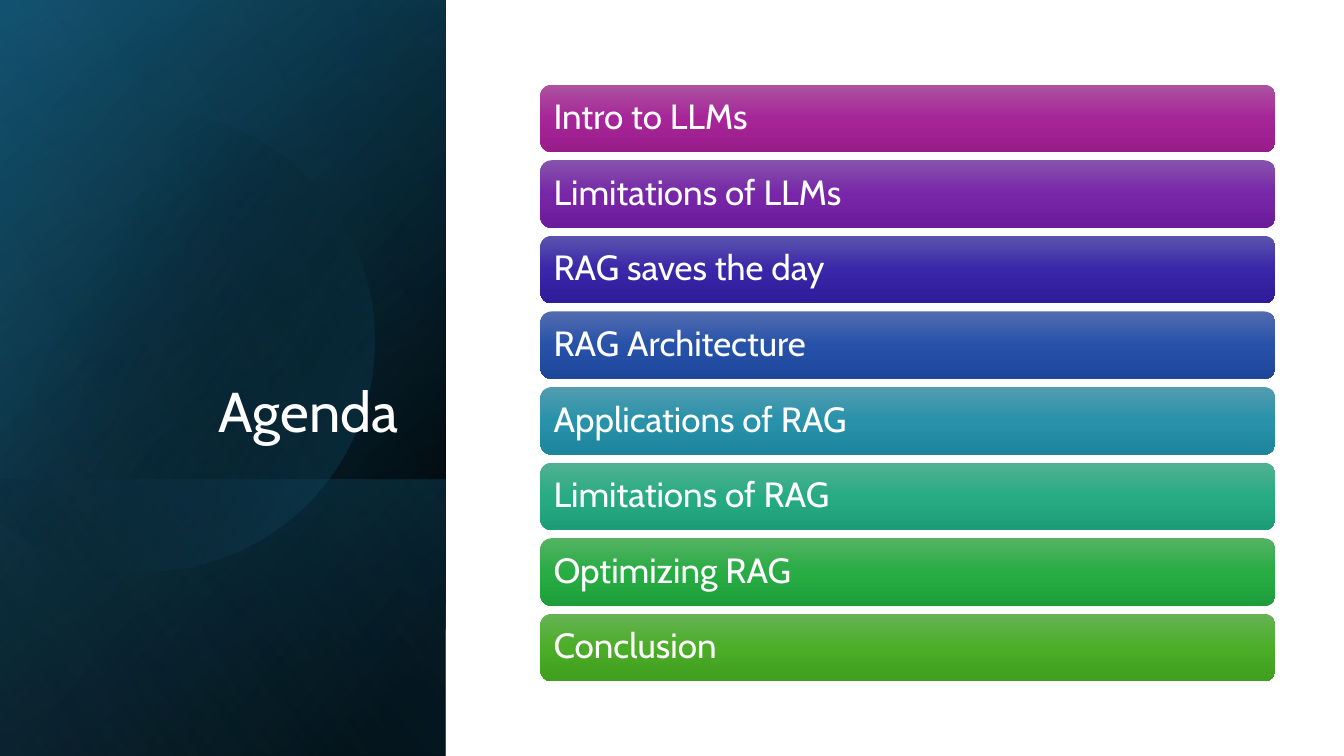
import math

from lxml import etree
from pptx import Presentation
from pptx import util as u
from pptx.dml.color import RGBColor
from pptx.enum import shapes, text
from pptx.oxml import ns

FONT = "Cabin"
WHITE = RGBColor(0xFF, 0xFF, 0xFF)
BLACK = RGBColor(0x00, 0x00, 0x00)
TEAL = RGBColor(0x15, 0x60, 0x82)
DEEP_TEAL = RGBColor(0x10, 0x48, 0x62)
SKY = RGBColor(0x46, 0xB1, 0xE1)

# Topic with the top, middle and bottom colour of its bar
AGENDA = [
    ("Intro to LLMs", "AC53A0", "A62598", "991C8B"),
    ("Limitations of LLMs", "8653AD", "7726A7", "6B1C9A"),
    ("RAG saves the day", "5C53AE", "3926A8", "2F1C9A"),
    ("RAG Architecture", "536BAF", "2652A9", "1D479B"),
    ("Applications of RAG", "539CB0", "2792AA", "1D859C"),
    ("Limitations of RAG", "53B190", "27AB83", "1D9D77"),
    ("Optimizing RAG", "54B262", "28AC44", "1E9E3A"),
    ("Conclusion", "66B354", "4BAD28", "409F1E"),
]


def paint_gradient(shape, stops, angle):
    """Fill with (position %, colour, opacity %) stops; no line or shadow."""
    shape.shadow.inherit = False
    shape.line.fill.background()
    shape.fill.background()
    gradient = etree.Element(ns.qn("a:gradFill"), rotWithShape="1")
    stop_list = etree.SubElement(gradient, ns.qn("a:gsLst"))
    for position, color, opacity in stops:
        stop = etree.SubElement(stop_list, ns.qn("a:gs"), pos=str(position * 1000))
        value = etree.SubElement(stop, ns.qn("a:srgbClr"), val=str(color))
        if opacity < 100:
            etree.SubElement(value, ns.qn("a:alpha"), val=str(opacity * 1000))
    etree.SubElement(gradient, ns.qn("a:lin"), ang=str(angle * 60000), scaled="0")
    properties = shape.fill._xPr
    properties.replace(properties.find(ns.qn("a:noFill")), gradient)


def write_text(box, content, size, align, anchor, margins):
    frame = box.text_frame
    frame.word_wrap = True
    frame.vertical_anchor = anchor
    frame.margin_left = frame.margin_right = u.Inches(margins[0])
    frame.margin_top = frame.margin_bottom = u.Inches(margins[1])
    para = frame.paragraphs[0]
    para.alignment = align
    para.line_spacing = 0.9
    span = para.add_run()
    span.text = content
    span.font.name = FONT
    span.font.size = u.Pt(size)
    span.font.color.rgb = WHITE


def add_turned_panel(page, left, top, width, height, stops, angle):
    """Cover the given box with a mirrored rectangle turned a quarter."""
    shift = (width - height) / 2
    panel = page.shapes.add_shape(
        shapes.MSO_SHAPE.RECTANGLE, u.Inches(left + shift), u.Inches(top - shift),
        u.Inches(height), u.Inches(width))
    panel.rotation = 90
    paint_gradient(panel, stops, angle)
    panel._element.spPr.find(ns.qn("a:xfrm")).set("flipH", "1")


def add_disc(page, center_x, center_y, radius, stops, angle):
    """Draw a circle cut off at the left edge of the slide."""
    reach = math.acos(-center_x / radius)
    steps = 120
    points = []
    for step in range(steps + 1):
        turn = reach * (2 * step / steps - 1)
        points.append((u.Inches(center_x + radius * math.cos(turn)),
                       u.Inches(center_y + radius * math.sin(turn))))
    builder = page.shapes.build_freeform(*points[0])
    builder.add_line_segments(points[1:], close=True)
    paint_gradient(builder.convert_to_shape(), stops, angle)


def add_title_panel(page, left, top, width, height):
    # Layered background
    whole = (left, top, width, height)
    add_turned_panel(page, *whole, [(8, BLACK, 100), (100, DEEP_TEAL, 100)], 50)
    add_turned_panel(page, *whole, [(0, BLACK, 0), (99, TEAL, 46)], 30)
    foot = 2.74
    add_turned_panel(page, left, top + height - foot, width, foot,
                     [(2, TEAL, 29), (100, BLACK, 30)], 130)
    add_disc(page, left + 1.42, top + 3.38, 2.29, [(29, BLACK, 0), (100, TEAL, 43)], 30)
    add_turned_panel(page, *whole, [(0, BLACK, 0), (99, SKY, 11)], 120)

    # Title
    box = page.shapes.add_textbox(u.Inches(left + 0.64), u.Inches(top + 1.84),
                                  u.Inches(3.41), u.Inches(2.62))
    write_text(box, "Agenda", 40, text.PP_ALIGN.RIGHT, text.MSO_ANCHOR.BOTTOM, (0.1, 0.05))


def add_agenda(page, left, top, width, bar_height, pitch):
    for row, (topic, *colors) in enumerate(AGENDA):
        bar = page.shapes.add_shape(
            shapes.MSO_SHAPE.ROUNDED_RECTANGLE, u.Inches(left), u.Inches(top + row * pitch),
            u.Inches(width), u.Inches(bar_height))
        stops = [(position, RGBColor.from_string(color), 100)
                 for position, color in zip((0, 50, 100), colors)]
        paint_gradient(bar, stops, 90)
        write_text(bar, topic, 25, text.PP_ALIGN.LEFT, text.MSO_ANCHOR.MIDDLE, (0.1, 0.1))


def main():
    deck = Presentation()
    deck.slide_width, deck.slide_height = u.Inches(13.33), u.Inches(7.5)
    page = deck.slides.add_slide(deck.slide_layouts[6])
    add_title_panel(page, 0, 0, 4.42, 7.5)
    add_agenda(page, 5.36, 0.84, 7.29, 0.67, 0.75)
    deck.save("out.pptx")


if __name__ == "__main__":
    main()
